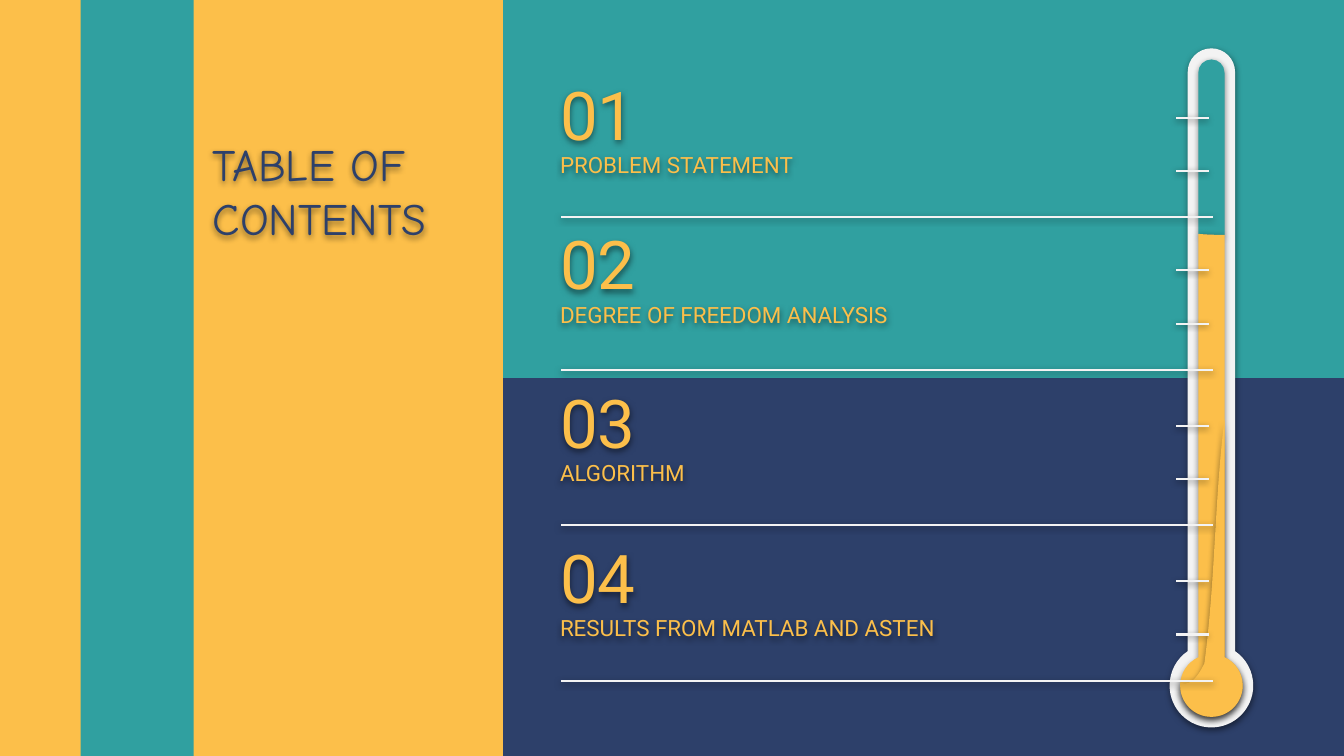
from dataclasses import dataclass
from itertools import pairwise
from math import acos, cos, pi, sin, tan

from lxml.etree import SubElement
from pptx import Presentation
from pptx.dml.color import RGBColor as Color
from pptx.enum.shapes import MSO_CONNECTOR as Connector, MSO_SHAPE as Preset
from pptx.enum.text import MSO_ANCHOR as Anchor
from pptx.oxml.ns import qn
from pptx.util import Inches, Pt


@dataclass(frozen=True)
class Theme:
    yellow: str = "FCBF4A"
    teal: str = "30A0A0"
    navy: str = "2D406A"
    white: str = "F3F3F3"
    title_font: str = "Comic Neue"
    body_font: str = "Roboto"
    title_size: int = 32
    number_size: int = 48
    label_size: int = 16
    line_width: float = 1.5


@dataclass(frozen=True)
class Box:
    left: float
    top: float
    width: float
    height: float


THEME = Theme()
COLUMNS, ROWS = 133.33, 75  # square grid cells, a tenth of an inch each
TEXT_INSET = 1.33

# Number top and rule height of each row, in grid rows from the list top
CONTENTS = [
    (0.04, 14.55, "PROBLEM STATEMENT"),
    (14.9, 29.7, "DEGREE OF FREEDOM ANALYSIS"),
    (30.6, 45.1, "ALGORITHM"),
    (46, 60.55, "RESULTS FROM MATLAB AND ASTEN"),
]


def grid(cells):
    return Inches(cells / 10)


def add_shadow(shape):
    effects = SubElement(shape._element.spPr, qn("a:effectLst"))
    shadow = SubElement(effects, qn("a:outerShdw"), blurRad=str(Pt(4.5)), dist=str(Pt(1.5)),
                        dir="5400000", algn="bl", rotWithShape="0")
    black = SubElement(shadow, qn("a:srgbClr"), val="000000")
    SubElement(black, qn("a:alpha"), val="50000")


def paint(shape, color):
    shape.fill.solid()
    shape.fill.fore_color.rgb = Color.from_string(color)
    shape.line.fill.background()


def add_panel(page, box, color):
    panel = page.shapes.add_shape(
        Preset.RECTANGLE, grid(box.left), grid(box.top), grid(box.width), grid(box.height))
    panel.shadow.inherit = False
    paint(panel, color)


def add_outline(page, start, segments, color):
    """Each segment holds one point for a line, or three for a Bézier curve."""
    builder = page.shapes.build_freeform(grid(start[0]), grid(start[1]))
    builder.add_line_segments(
        [(grid(x), grid(y)) for segment in segments for x, y in segment], close=True)
    outline = builder.convert_to_shape()
    steps = iter(list(outline._element.iter(qn("a:lnTo"))))
    for segment in segments:
        group = [next(steps) for _ in segment]
        if len(group) == 3:
            bezier = SubElement(group[0].getparent(), qn("a:cubicBezTo"))
            group[0].addprevious(bezier)
            for step in group:
                bezier.append(step[0])
                step.getparent().remove(step)
    paint(outline, color)
    add_shadow(outline)


def add_rule(page, start, end, y):
    rule = page.shapes.add_connector(Connector.STRAIGHT, grid(start), grid(y), grid(end), grid(y))
    rule.line.color.rgb = Color.from_string(THEME.white)
    rule.line.width = Pt(THEME.line_width)
    add_shadow(rule)


def add_text(page, box, text, font, size, color, anchor):
    holder = page.shapes.add_textbox(
        grid(box.left), grid(box.top), grid(box.width), grid(box.height))
    add_shadow(holder)
    frame = holder.text_frame
    frame_format = {"word_wrap": True, "vertical_anchor": anchor}
    frame_format |= {f"margin_{side}": grid(TEXT_INSET)
                     for side in ("left", "top", "right", "bottom")}
    for name, value in frame_format.items():
        setattr(frame, name, value)
    span = frame.paragraphs[0].add_run()
    span.text = text
    for name, value in {"name": font, "size": Pt(size)}.items():
        setattr(span.font, name, value)
    span.font.color.rgb = Color.from_string(color)


def arc(center, radius, *stops):
    """Bézier segments of a circle between the given angles."""
    x, y = center
    segments = []
    for a, b in pairwise(stops):
        pull = 4 / 3 * tan((b - a) / 4)
        segments.append([
            (x + radius * (cos(a) - pull * sin(a)), y + radius * (sin(a) + pull * cos(a))),
            (x + radius * (cos(b) + pull * sin(b)), y + radius * (sin(b) - pull * cos(b))),
            (x + radius * cos(b), y + radius * sin(b))])
    return segments


# Background stripes and panels
def draw_background(page, box):
    page.background.fill.solid()
    page.background.fill.fore_color.rgb = Color.from_string(THEME.yellow)
    split, half = box.left + 49.9, box.height / 2
    for row, color in enumerate((THEME.teal, THEME.navy)):
        add_panel(page, Box(split, box.top + row * half, box.width - split, half), color)
    add_panel(page, Box(box.left + 8, box.top, 11.23, box.height), THEME.teal)


# Thermometer: glass, empty tube, filling and its shaded side
def draw_thermometer(page, box):
    axis = box.left + box.width / 2
    glass, bulb = 2.35, box.width / 2
    tube, filling = 1.3, 3.1
    left, right = axis - tube, axis + tube
    center = (axis, box.top + box.height - bulb)
    level = box.top + 18.4

    def dome(radius, top):
        return arc((axis, top + radius), radius, pi, 1.5 * pi, 2 * pi)

    def bulb_arc(neck, radius):
        joint = acos(neck / radius)
        return arc(center, radius, -joint, 0, pi / 2, pi, pi + joint)

    neck_top = center[1] - (bulb ** 2 - glass ** 2) ** 0.5
    add_outline(page, (axis - glass, box.top + glass),
                dome(glass, box.top) + [[(axis + glass, neck_top)]] + bulb_arc(glass, bulb),
                THEME.white)

    surface = [(left, level), (axis - 0.4, level + 0.1), (axis + 0.4, level + 0.1),
               (right, level + 0.1)]
    tube_top = box.top + 1.1
    add_outline(page, (left, tube_top + tube),
                dome(tube, tube_top) + [[surface[3]], surface[2::-1]], THEME.teal)

    neck = (right, center[1] - (filling ** 2 - tube ** 2) ** 0.5)
    add_outline(page, surface[0], [surface[1:], [neck]] + bulb_arc(tube, filling), THEME.yellow)

    tip = (right, box.top + 36.8)
    bend = (axis - 0.7, center[1] - 2.2)
    side = [
        [(axis + 0.3, tip[1] + 7.9), (axis + 0.4, tip[1] + 15.9), bend],
        [(axis - 1, center[1] - 1.6), (axis - 1.7, center[1] - 0.2),
         (axis - 2.6, center[1] - 0.2)],
        [(axis - 2.7, center[1] - 0.2), (axis - 2.9, center[1] - 0.2),
         (axis - filling, center[1] - 0.3)],
        [(axis - filling, center[1])],
    ]
    side += arc(center, filling, pi, pi / 2, 0, -acos(tube / filling))
    add_outline(page, tip, side, THEME.yellow)


# Rules under the entries and the scale marks on the thermometer
def draw_scale(page, box):
    right = box.left + box.width
    for _, rule, _ in CONTENTS:
        y = box.top + rule
        add_rule(page, box.left + 1.45, right, y)
        for rise in (4.6, 9.87):
            add_rule(page, right - 3.6, right - 0.4, y - rise)


# Numbered entries
def draw_contents(page, box):
    for index, (top, _, label) in enumerate(CONTENTS, 1):
        y = box.top + top
        add_text(page, Box(box.left, y, 43.8, 8.4), f"{index:02}", THEME.body_font,
                 THEME.number_size, THEME.yellow, Anchor.MIDDLE)
        add_text(page, Box(box.left, y + 7.25, 56.3, 4.7), label, THEME.body_font,
                 THEME.label_size, THEME.yellow, Anchor.BOTTOM)


# Slide heading
def draw_title(page, box):
    add_text(page, box, "TABLE OF CONTENTS", THEME.title_font, THEME.title_size,
             THEME.navy, Anchor.BOTTOM)


def main():
    deck = Presentation()
    deck.slide_width, deck.slide_height = grid(COLUMNS), grid(ROWS)
    page = deck.slides.add_slide(deck.slide_layouts[6])
    entries = Box(54.23, 7, 66.07, 60.5)
    draw_background(page, Box(0, 0, COLUMNS, ROWS))
    draw_title(page, Box(19.75, 10.8, 29.2, 14.8))
    draw_thermometer(page, Box(116.03, 4.8, 8.3, 67.37))
    draw_scale(page, entries)
    draw_contents(page, entries)
    deck.save("out.pptx")


if __name__ == "__main__":
    main()
